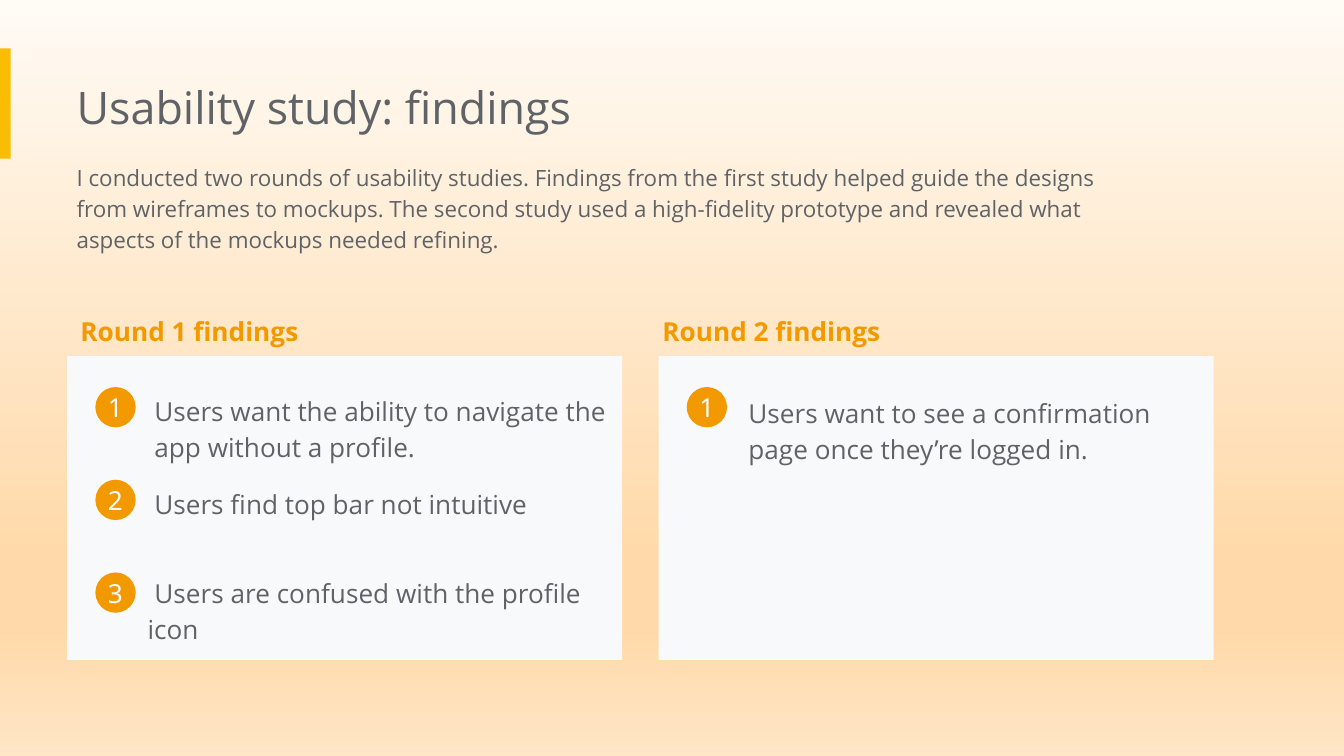
from lxml.etree import SubElement
from pptx import Presentation
from pptx.dml.color import RGBColor
from pptx.enum.shapes import MSO_SHAPE
from pptx.enum.text import MSO_ANCHOR, MSO_AUTO_SIZE, PP_ALIGN
from pptx.oxml.ns import qn
from pptx.util import Inches, Pt

HUES = {"text": "5F6368", "accent": "F29900", "bar": "FBBC04",
        "card": "F8F9FA", "white": "FFFFFF"}
STOPS = [(0, "FFFBF5"), (74, "FFD9A9"), (83, "FFD9A9"), (100, "FFE6C6")]
TITLE = {"size": 24, "left": 0, "space": 1.0}
INTRO = {"size": 12, "left": 0}
HEAD = {"hue": "accent", "bold": True}
BADGE = {"font": "Noto Sans", "hue": "white", "left": 0, "pad": 0,
         "align": PP_ALIGN.CENTER, "anchor": MSO_ANCHOR.MIDDLE, "space": 1.0,
         "fit": MSO_AUTO_SIZE.NONE}
LEAD = ("I conducted two rounds of usability studies. Findings from the first "
        "study helped guide the designs from wireframes to mockups. The second "
        "study used a high-fidelity prototype and revealed what aspects of the "
        "mockups needed refining.")
ROUNDS = [
    ("Round 1 findings", 0.5, 0.5, [
        ("Users want the ability to navigate the app without a profile.",
         1.05, 2.81, 0.74),
        ("Users find top bar not intuitive", 1.05, 3.5, 0.47),
        (" Users are confused with the profile icon", 1.0, 4.16, 0.74)]),
    ("Round 2 findings", 4.9, 4.83, [
        ("Users want to see a confirmation page once they’re logged in.",
         5.47, 2.82, 1.01)]),
]


def apply(item, values):
    """Set each named value on the item."""
    for name, value in values.items():
        setattr(item, name, value)


def place(shape, box):
    """Move and size a shape in inches."""
    names = ("left", "top", "width", "height")
    apply(shape, dict(zip(names, map(Inches, box))))


def write(shape, text, style):
    """Fill a shape with one styled paragraph."""
    look = {"size": 14, "font": "Open Sans", "hue": "text", "bold": False,
            "left": 0.1, "pad": 0.1, "align": PP_ALIGN.LEFT, "space": 1.15,
            "anchor": MSO_ANCHOR.TOP, "fit": MSO_AUTO_SIZE.SHAPE_TO_FIT_TEXT,
            **style}
    frame = shape.text_frame
    pad = Inches(look["pad"])
    apply(frame, {"text": text, "word_wrap": True, "auto_size": look["fit"],
                  "vertical_anchor": look["anchor"],
                  "margin_left": Inches(look["left"]), "margin_top": pad,
                  "margin_right": pad, "margin_bottom": pad})
    line = frame.paragraphs[0]
    apply(line, {"alignment": look["align"], "line_spacing": look["space"]})
    font = line.runs[0].font
    apply(font, {"size": Pt(look["size"]), "name": look["font"],
                 "bold": look["bold"]})
    font.color.rgb = RGBColor.from_string(HUES[look["hue"]])


def label(slide, box, text, style):
    """Add a text box."""
    write(slide.shapes.add_textbox(*map(Inches, box)), text, style)


def block(slide, kind, box, hue):
    """Add a flat shape with no outline."""
    shape = slide.shapes.add_shape(kind, *map(Inches, box))
    shape.shadow.inherit = False
    shape.fill.solid()
    shape.fill.fore_color.rgb = RGBColor.from_string(HUES[hue])
    shape.line.fill.background()
    return shape


def shade(slide):
    """Paint the backdrop from top to bottom."""
    slide.background.fill.gradient()
    grad = slide.element.find(".//" + qn("a:gradFill"))
    stops = grad.find(qn("a:gsLst"))
    for stop in list(stops):
        stops.remove(stop)
    for spot, hue in STOPS:
        stop = SubElement(stops, qn("a:gs"), pos=str(spot * 1000))
        SubElement(stop, qn("a:srgbClr"), val=hue)
    slant = grad.find(qn("a:lin"))
    slant.set("ang", str(90 * 60000))
    slant.set("scaled", "0")


def panel(slide, head, left, start, finds):
    """Add one round with its heading, card and numbered findings."""
    label(slide, (start, 2.21, 3.65, 0.44), head, HEAD)
    block(slide, MSO_SHAPE.RECTANGLE, (left, 2.65, 4.13, 2.26), "card")
    for index, (text, side, top, height) in enumerate(finds):
        label(slide, (side, top, 3.65, height), text, {})
        spot = (left + 0.21, 2.88 + 0.69 * index, 0.3, 0.3)
        badge = block(slide, MSO_SHAPE.OVAL, spot, "accent")
        write(badge, str(index + 1), BADGE)


def main():
    """Build and save the slide."""
    deck = Presentation()
    width = Inches(10)
    apply(deck, {"slide_width": width, "slide_height": width * 9 // 16})
    slide = deck.slides.add_slide(deck.slide_layouts[5])
    shade(slide)
    block(slide, MSO_SHAPE.RECTANGLE, (0, 0.36, 0.08, 0.82), "bar")
    title = slide.shapes.title
    place(title, (0.57, 0.49, 6.73, 0.61))
    write(title, "Usability study: findings", TITLE)
    label(slide, (0.57, 1.09, 7.89, 1.17), LEAD, INTRO)
    for entry in ROUNDS:
        panel(slide, *entry)
    deck.save("out.pptx")


main()
